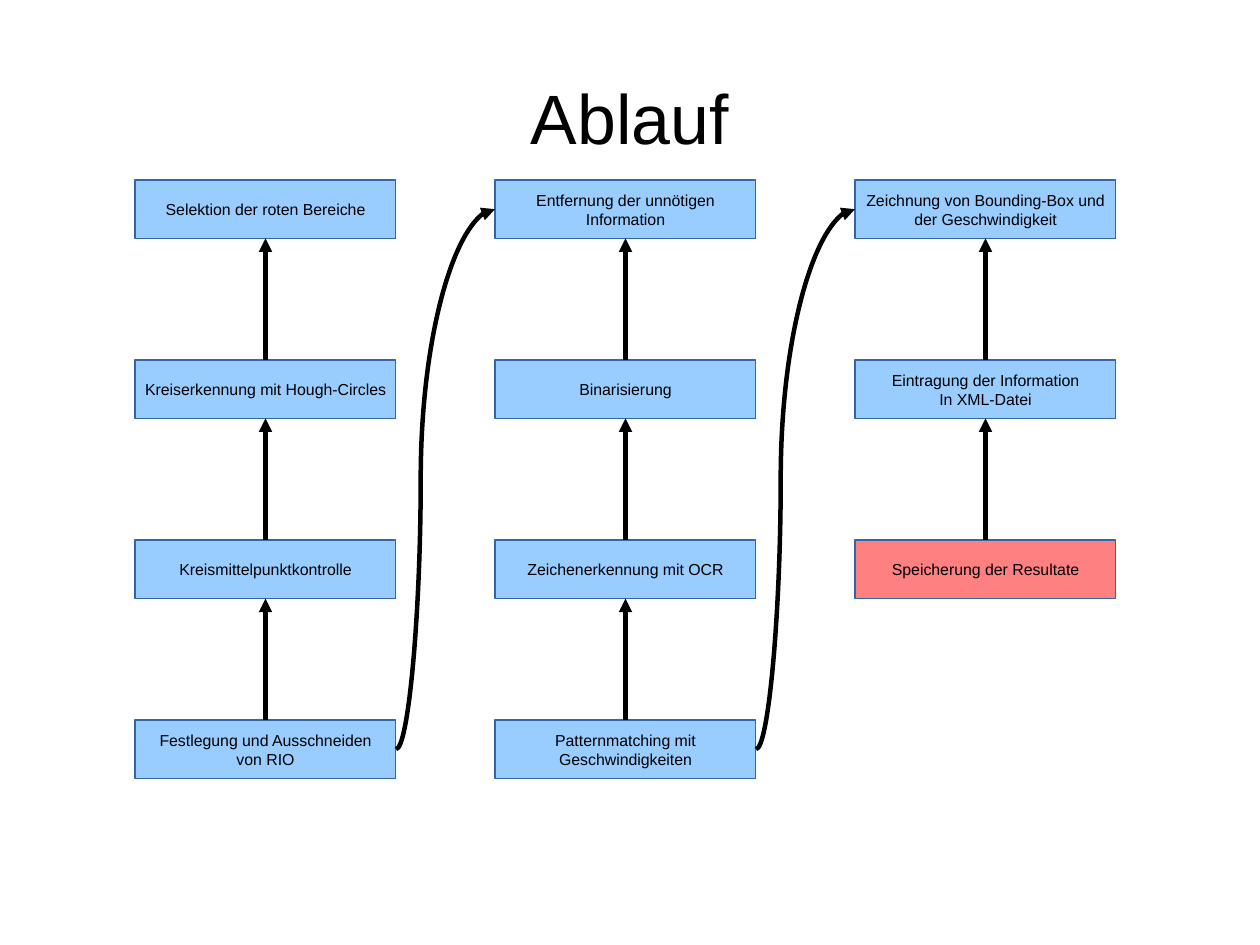
from lxml import etree
from pptx import Presentation
from pptx.dml.color import RGBColor
from pptx.enum.shapes import MSO_CONNECTOR, MSO_SHAPE
from pptx.enum.text import MSO_ANCHOR, PP_ALIGN
from pptx.oxml.ns import qn
from pptx.util import Inches, Pt

RECTANGLE = MSO_SHAPE.RECTANGLE
STRAIGHT, CURVE = MSO_CONNECTOR.STRAIGHT, MSO_CONNECTOR.CURVE
MIDDLE, CENTER = MSO_ANCHOR.MIDDLE, PP_ALIGN.CENTER

BLACK = RGBColor(0x00, 0x00, 0x00)
LIGHT_BLUE = RGBColor(0x99, 0xCC, 0xFF)
LIGHT_RED = RGBColor(0xFF, 0x80, 0x80)
BORDER_BLUE = RGBColor(0x34, 0x65, 0xA4)

TOP, LEFT, BOTTOM, RIGHT = range(4)  # connection sites of a rectangle

# The layout follows a centimetre grid.
SLIDE_WIDTH, SLIDE_HEIGHT = 28, 21
BOX_WIDTH, BOX_HEIGHT = 5.8, 1.3
FIRST_LEFT, FIRST_TOP = 3, 4
COLUMN_STEP, ROW_STEP = 8, 4

COLUMNS = [
    [
        "Selektion der roten Bereiche",
        "Kreiserkennung mit Hough-Circles",
        "Kreismittelpunktkontrolle",
        "Festlegung und Ausschneiden\nvon RIO",
    ],
    [
        "Entfernung der unnötigen\nInformation",
        "Binarisierung",
        "Zeichenerkennung mit OCR",
        "Patternmatching mit\nGeschwindigkeiten",
    ],
    [
        "Zeichnung von Bounding-Box und\nder Geschwindigkeit",
        "Eintragung der Information\nIn XML-Datei",
        "Speicherung der Resultate",
    ],
]


def grid_length(centimetres):
    return Inches(centimetres / 2.54)


def write_text(frame, text, size=10, color=BLACK, font="Arial", wrap=False):
    """Fill a text frame with centred text, one paragraph per line."""
    frame.text = text
    frame.word_wrap = wrap
    frame.vertical_anchor = MIDDLE
    for paragraph in frame.paragraphs:
        paragraph.alignment = CENTER
        paragraph.font.size = Pt(size)
        paragraph.font.name = font
        paragraph.font.color.rgb = color


def site_position(box, site):
    """Return the point of a box at a connection site."""
    center_x = box.left + box.width // 2
    center_y = box.top + box.height // 2
    return {
        TOP: (center_x, box.top),
        LEFT: (box.left, center_y),
        BOTTOM: (center_x, box.top + box.height),
        RIGHT: (box.left + box.width, center_y),
    }[site]


class FlowSlide:
    def __init__(self, presentation):
        self.slide = presentation.slides.add_slide(presentation.slide_layouts[5])
        self.line_width = Pt(2.83)

    def title(self, text):
        title = self.slide.shapes.title
        title.left, title.top = Inches(0.55), Inches(0.33)
        title.width, title.height = Inches(9.92), Inches(1.38)
        frame = title.text_frame
        frame.margin_left = frame.margin_right = 0
        frame.margin_top = frame.margin_bottom = 0
        write_text(frame, text, size=44, wrap=True)

    def box(self, text, column, row, fill):
        shape = self.slide.shapes.add_shape(
            RECTANGLE,
            grid_length(FIRST_LEFT + column * COLUMN_STEP),
            grid_length(FIRST_TOP + row * ROW_STEP),
            grid_length(BOX_WIDTH),
            grid_length(BOX_HEIGHT),
        )
        shape.shadow.inherit = False
        shape.fill.solid()
        shape.fill.fore_color.rgb = fill
        shape.line.color.rgb = BORDER_BLUE
        shape.line.width = 0
        write_text(shape.text_frame, text)
        return shape

    def arrow(self, source, source_site, target, target_site, kind=STRAIGHT):
        connector = self.slide.shapes.add_connector(
            kind,
            *site_position(source, source_site),
            *site_position(target, target_site),
        )
        connector.begin_connect(source, source_site)
        connector.end_connect(target, target_site)
        connector.line.color.rgb = BLACK
        connector.line.width = self.line_width
        properties = connector._element.spPr
        line = properties.find(qn("a:ln"))
        etree.SubElement(line, qn("a:tailEnd"), type="triangle")
        etree.SubElement(properties, qn("a:effectLst"))
        if kind == CURVE:
            adjustments = properties.find(qn("a:prstGeom")).find(qn("a:avLst"))
            etree.SubElement(adjustments, qn("a:gd"), name="adj1", fmla="val 25000")


def main():
    presentation = Presentation()
    presentation.slide_width = grid_length(SLIDE_WIDTH)
    presentation.slide_height = grid_length(SLIDE_HEIGHT)
    flow = FlowSlide(presentation)
    flow.title("Ablauf")

    columns = []
    for column, texts in enumerate(COLUMNS):
        boxes = []
        for row, text in enumerate(texts):
            is_result = text == COLUMNS[-1][-1]
            fill = LIGHT_RED if is_result else LIGHT_BLUE
            boxes.append(flow.box(text, column, row, fill))
        columns.append(boxes)

    for current, following in zip(columns, columns[1:]):
        flow.arrow(current[-1], RIGHT, following[0], LEFT, kind=CURVE)
    for boxes in columns:
        for upper, lower in zip(boxes, boxes[1:]):
            flow.arrow(lower, TOP, upper, BOTTOM)

    presentation.save("out.pptx")


if __name__ == "__main__":
    main()
